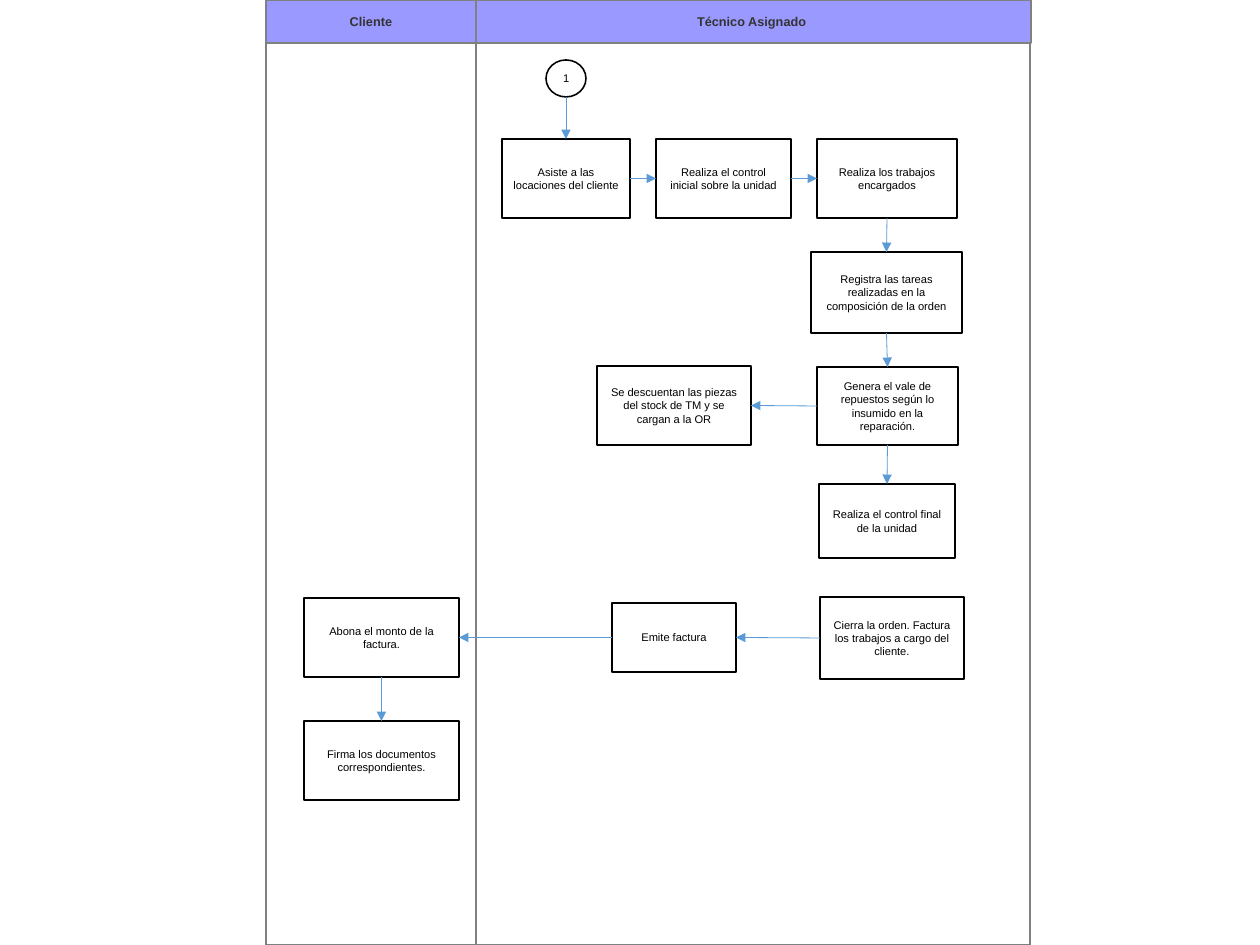
"""Build a two-lane flow chart of a technician's service visit."""
from pptx import Presentation
from pptx.dml.color import RGBColor
from pptx.enum.shapes import MSO_CONNECTOR as Link, MSO_SHAPE as Kind
from pptx.enum.text import MSO_ANCHOR as Anchor, PP_ALIGN as Align
from pptx.oxml.ns import qn
from pptx.util import Pt
from lxml.etree import SubElement

PX = 8000
WIDE, HIGH = 1260, 945
HEAD = 43
LANES = [
    ("Cliente", 266, 210),
    ("Técnico Asignado ", 476, 555),
]
FRAMES = [(266, 0, 210, HIGH), (266, 0, 764, HIGH)]
STEPS = {
    "visit": ("Asiste a las locaciones del cliente", 502, 139, 128, 79),
    "check": ("Realiza el control inicial sobre la unidad", 656, 139, 135, 79),
    "work": ("Realiza los trabajos encargados", 817, 139, 140, 79),
    "record": ("Registra las tareas realizadas en la composición de la orden",
               811, 252, 151, 81),
    "voucher": ("Genera el vale de repuestos según lo insumido en la reparación.",
                817, 367, 141, 78),
    "stock": ("Se descuentan las piezas del stock de TM y se cargan a la OR",
              597, 366, 154, 79),
    "final": ("Realiza el control final de la unidad", 819, 484, 136, 74),
    "close": ("Cierra la orden. Factura los trabajos a cargo del cliente.",
              820, 597, 144, 82),
    "bill": ("Emite factura", 612, 603, 124, 69),
    "pay": ("Abona el monto de la factura.", 304, 598, 155, 79),
    "sign": ("Firma los documentos correspondientes.", 304, 721, 155, 79),
}
TOP, LEFT, BASE, RIGHT = range(4)
FLOWS = [
    ("visit", RIGHT, "check", LEFT),
    ("check", RIGHT, "work", LEFT),
    ("work", BASE, "record", TOP),
    ("record", BASE, "voucher", TOP),
    ("voucher", LEFT, "stock", RIGHT),
    ("voucher", BASE, "final", TOP),
    ("close", LEFT, "bill", RIGHT),
    ("bill", LEFT, "pay", RIGHT),
    ("pay", BASE, "sign", TOP),
]
BOLD = {"name": "Arial", "size": Pt(8), "bold": True}
PLAIN = {"name": "Arial", "size": Pt(7), "bold": False}


def tint(code):
    """Turn a hex string into a colour."""
    return RGBColor.from_string(code)


def draw(slide, kind, area, fill, edge, width):
    """Add an outlined shape, left open when there is no fill."""
    shape = slide.shapes.add_shape(kind, *(n * PX for n in area))
    shape.shadow.inherit = False
    if fill:
        shape.fill.solid()
        shape.fill.fore_color.rgb = tint(fill)
    else:
        shape.fill.background()
    shape.line.color.rgb = tint(edge)
    shape.line.width = Pt(width)
    return shape


def write(shape, text, style, color):
    """Put centred text into a shape."""
    frame = shape.text_frame
    frame.word_wrap = True
    frame.vertical_anchor = Anchor.MIDDLE
    para = frame.paragraphs[0]
    para.alignment = Align.CENTER
    run = para.add_run()
    run.text = text
    for key, value in style.items():
        setattr(run.font, key, value)
    run.font.color.rgb = tint(color)


def step(slide, text, *area, kind=Kind.RECTANGLE):
    """Add one step of the flow."""
    shape = draw(slide, kind, area, "FFFFFF", "000000", 1)
    write(shape, text, PLAIN, "000000")
    return shape


def arrow(slide, start, exit, goal, entry):
    """Join two steps with an arrow, leaving an oval from its base."""
    x, y = start.left + start.width // 2, start.top + start.height
    line = slide.shapes.add_connector(Link.STRAIGHT, x, y, x, y)
    if exit is not None:
        line.begin_connect(start, exit)
    line.end_connect(goal, entry)
    line.line.color.rgb = tint("5B9BD5")
    line.line.width = Pt(0.5)
    SubElement(line.line._get_or_add_ln(), qn("a:tailEnd"), type="triangle")
    SubElement(line._element.spPr, qn("a:effectLst"))


def main():
    """Draw the lanes, the steps and the arrows."""
    deck = Presentation()
    deck.slide_width, deck.slide_height = WIDE * PX, HIGH * PX
    slide = deck.slides.add_slide(deck.slide_layouts[6])
    for area in FRAMES:
        draw(slide, Kind.RECTANGLE, area, None, "808080", 1.7)
    for name, left, width in LANES:
        area = (left, 0, width, HEAD)
        head = draw(slide, Kind.RECTANGLE, area, "9999FF", "808080", 1.7)
        write(head, name, BOLD, "333333")
    boxes = {key: step(slide, *spec) for key, spec in STEPS.items()}
    entry = step(slide, "1", 546, 60, 40, 37, kind=Kind.OVAL)
    arrow(slide, entry, None, boxes["visit"], TOP)
    for start, exit, goal, side in FLOWS:
        arrow(slide, boxes[start], exit, boxes[goal], side)
    deck.save("out.pptx")


if __name__ == "__main__":
    main()
